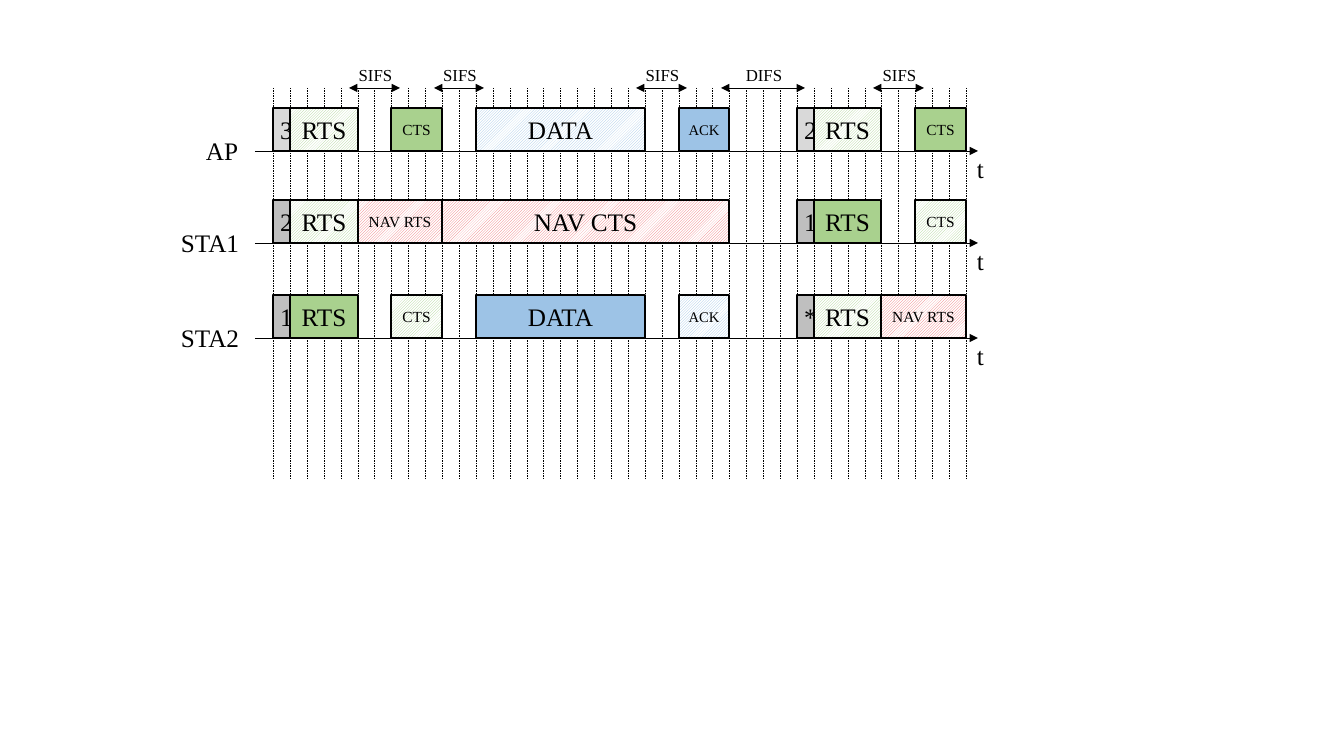
from dataclasses import dataclass

from lxml.etree import SubElement
from pptx import Presentation
from pptx.dml.color import RGBColor
from pptx.enum.dml import MSO_LINE, MSO_PATTERN
from pptx.enum.shapes import MSO_CONNECTOR, MSO_SHAPE
from pptx.enum.text import MSO_ANCHOR, PP_ALIGN
from pptx.oxml.ns import qn
from pptx.util import Emu, Pt


@dataclass(frozen=True)
class Theme:
    font: str = "Times New Roman"
    black: RGBColor = RGBColor(0, 0, 0)
    white: RGBColor = RGBColor(255, 255, 255)
    light_gray: RGBColor = RGBColor(0xD9, 0xD9, 0xD9)
    gray: RGBColor = RGBColor(0xBF, 0xBF, 0xBF)
    green: RGBColor = RGBColor(0xA9, 0xD1, 0x8E)
    blue: RGBColor = RGBColor(0x9D, 0xC3, 0xE6)
    red: RGBColor = RGBColor(0xEF, 0x6F, 0x72)
    large: float = 18
    gap: float = 12
    small: float = 11
    tiny: float = 10.5


@dataclass(frozen=True)
class Box:
    left: int
    top: int
    width: int
    height: int


THEME = Theme()
SLOTS = 41
FRAME_HEIGHT = 43

# Frame name: colour and type size
FRAMES = {
    "RTS": (THEME.green, THEME.large),
    "CTS": (THEME.green, THEME.small),
    "DATA": (THEME.blue, THEME.large),
    "ACK": (THEME.blue, THEME.tiny),
    "NAV RTS": (THEME.red, THEME.small),
    "NAV CTS": (THEME.red, THEME.large),
}

# Station, label left, axis offset, backoff colour, backoff counters by slot,
# frames as (name, first slot, end slot, sent by this station)
STATIONS = [
    ("AP", 196, 63, THEME.light_gray, {0: "3", 31: "2"},
     [("RTS", 1, 5, False), ("CTS", 7, 10, True), ("DATA", 12, 22, False),
      ("ACK", 24, 27, True), ("RTS", 32, 36, False), ("CTS", 38, 41, True)]),
    ("STA1", 171, 155, THEME.gray, {0: "2", 31: "1"},
     [("RTS", 1, 5, False), ("NAV RTS", 5, 10, False), ("NAV CTS", 10, 27, False),
      ("RTS", 32, 36, True), ("CTS", 38, 41, False)]),
    ("STA2", 171, 250, THEME.gray, {0: "1", 31: "*"},
     [("RTS", 1, 5, True), ("CTS", 7, 10, False), ("DATA", 12, 22, True),
      ("ACK", 24, 27, False), ("RTS", 32, 36, False), ("NAV RTS", 36, 41, False)]),
]

# Interframe spaces as (name, first slot, end slot)
GAPS = [("SIFS", 5, 7), ("SIFS", 10, 12), ("SIFS", 22, 24),
        ("DIFS", 27, 31), ("SIFS", 36, 38)]


def px(length):
    return Emu(round(length * 914400 / 100.8))


def slot_x(box, slot):
    return round(box.left + slot * box.width / SLOTS)


def write(shape, text, size, align=PP_ALIGN.LEFT):
    paragraph = shape.text_frame.paragraphs[0]
    paragraph.text = text
    paragraph.alignment = align
    paragraph.font.name = THEME.font
    paragraph.font.size = Pt(size)
    paragraph.font.color.rgb = THEME.black


def add_label(slide, text, left, top, width, height, size, centred=False):
    label = slide.shapes.add_textbox(px(left), px(top), px(width), px(height))
    label.text_frame.word_wrap = True
    if centred:
        label.text_frame.margin_left = label.text_frame.margin_right = 0
    write(label, text, size, PP_ALIGN.CENTER if centred else PP_ALIGN.LEFT)


def add_line(slide, start, end, width, arrowheads=(), dashed=False):
    line = slide.shapes.add_connector(
        MSO_CONNECTOR.STRAIGHT, *(px(value) for value in (*start, *end)))
    line.line.color.rgb = THEME.black
    line.line.width = Pt(width)
    if dashed:
        line.line.dash_style = MSO_LINE.DASH
    properties = line.line._get_or_add_ln()
    for tag in arrowheads:
        SubElement(properties, qn(tag), type="triangle")
    SubElement(line._element.spPr, qn("a:effectLst"))


def add_block(slide, box, axis, text, first, end, colour, size, hatched=False):
    left, right = slot_x(box, first), slot_x(box, end)
    block = slide.shapes.add_shape(
        MSO_SHAPE.RECTANGLE, px(left), px(axis - FRAME_HEIGHT),
        px(right - left), px(FRAME_HEIGHT))
    block.shadow.inherit = False
    if hatched:
        block.fill.patterned()
        block.fill.pattern = MSO_PATTERN.LIGHT_UPWARD_DIAGONAL
        block.fill.fore_color.rgb = colour
        block.fill.back_color.rgb = THEME.white
    else:
        block.fill.solid()
        block.fill.fore_color.rgb = colour
    block.line.color.rgb = THEME.black
    block.line.width = Pt(1)
    block.text_frame.vertical_anchor = MSO_ANCHOR.MIDDLE
    if end - first > 1:
        block.text_frame.margin_left = block.text_frame.margin_right = 0
    write(block, text, size, PP_ALIGN.CENTER)


def draw_grid(slide, box):
    for _, _, offset, *_ in STATIONS:
        axis = box.top + offset
        add_line(slide, (box.left - 18, axis), (box.left + box.width + 12, axis),
                 0.5, ["a:tailEnd"])
    for slot in range(SLOTS + 1):
        x = slot_x(box, slot)
        add_line(slide, (x, box.top), (x, box.top + box.height), 0.25, dashed=True)


def draw_station(slide, box, station):
    name, label_left, offset, backoff_colour, counters, frames = station
    axis = box.top + offset
    add_label(slide, name, label_left, axis - 21, 99, 40, THEME.large)
    add_label(slide, "t", box.left + box.width + 1, axis - 3, 99, 40, THEME.large)
    for slot, counter in counters.items():
        add_block(slide, box, axis, counter, slot, slot + 1,
                  backoff_colour, THEME.large)
    for frame, first, end, sent in frames:
        add_block(slide, box, axis, frame, first, end, *FRAMES[frame],
                  hatched=not sent)


def draw_gaps(slide, box):
    # Each arrow reaches half a slot beyond its gap
    for name, first, end in GAPS:
        left, right = slot_x(box, first - 0.5), slot_x(box, end + 0.5)
        add_label(slide, name, left + 1, box.top - 28, right - left, 30,
                  THEME.gap, centred=True)
        add_line(slide, (left, box.top), (right, box.top), 0.5,
                 ["a:headEnd", "a:tailEnd"])


def build_timing_slide(presentation, box):
    slide = presentation.slides.add_slide(presentation.slide_layouts[6])
    draw_grid(slide, box)
    for station in STATIONS:
        draw_station(slide, box, station)
    draw_gaps(slide, box)


presentation = Presentation()
presentation.slide_width = px(1344)
presentation.slide_height = px(756)
build_timing_slide(presentation, Box(273, 88, 693, 392))
presentation.save("out.pptx")
